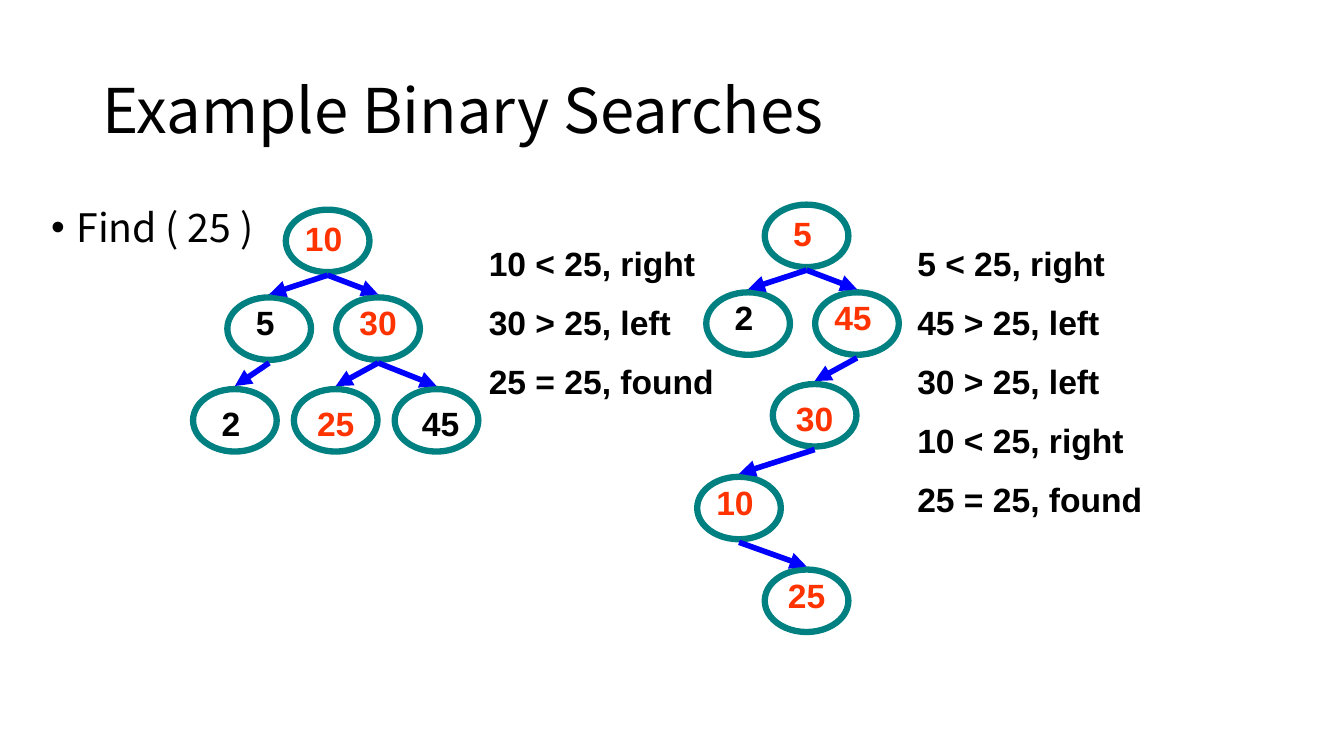
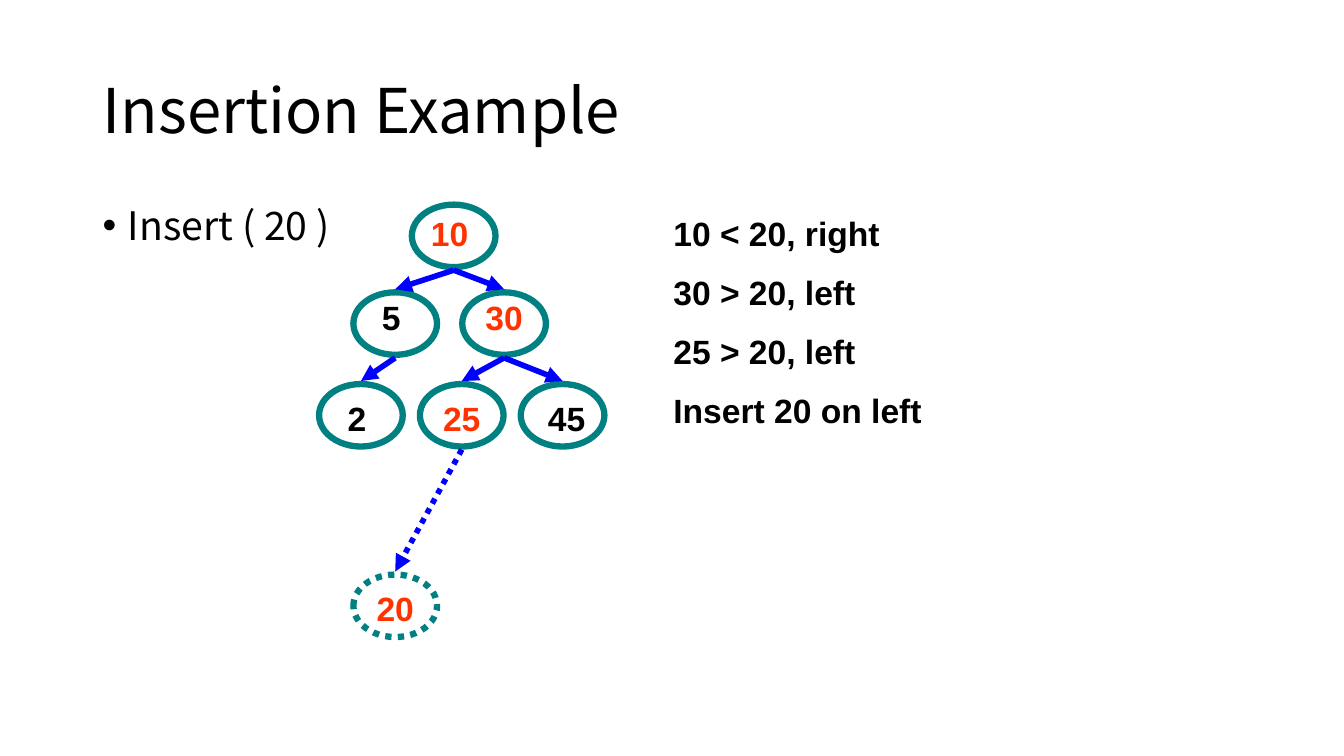
"""Build two slides that show searching and inserting in binary search trees."""
from dataclasses import dataclass
from typing import Optional

import pptx
import pptx.dml.color
import pptx.enum.dml
import pptx.enum.shapes
import pptx.enum.text
import pptx.oxml
import pptx.oxml.ns
import pptx.util
from pptx.util import Inches

RGB = pptx.dml.color.RGBColor
ALIGN = pptx.enum.text.PP_ALIGN
ANCHOR = pptx.enum.text.MSO_ANCHOR


@dataclass(frozen=True)
class Theme:
    black: RGB = RGB(0x00, 0x00, 0x00)
    visited: RGB = RGB(0xFF, 0x33, 0x00)
    ring: RGB = RGB(0x00, 0x80, 0x80)
    arrow: RGB = RGB(0x00, 0x00, 0xFF)
    heading_font: str = "Noto Sans CJK KR"
    label_font: str = "Arial"
    title_size: float = 44
    bullet_size: float = 28
    label_size: float = 24
    step_gap: float = 13.3
    ring_width: float = 4.5
    arrow_width: float = 4


@dataclass(frozen=True)
class Level:
    drop: float
    label_drop: float


@dataclass(frozen=True)
class Node:
    key: str
    x: float
    level: int
    parent: Optional[str] = None
    visited: bool = True
    label_shift: float = 0
    dotted: bool = False


@dataclass(frozen=True)
class Tree:
    x: float
    y: float
    nodes: tuple[Node, ...]


@dataclass(frozen=True)
class Steps:
    x: float
    y: float
    width: float
    lines: tuple[str, ...]


@dataclass(frozen=True)
class Page:
    title: str
    bullet: str
    bullet_x: float
    bullet_y: float
    trees: tuple[Tree, ...]
    steps: tuple[Steps, ...]


THEME = Theme()
NODE_W, NODE_H = 0.83, 0.62
LABEL_W, LABEL_H = 0.67, 0.5
ARROW_GAP = 0.03
LEVELS = (Level(0, 0.03), Level(0.87, 0), Level(1.78, 0.09),
          Level(2.7, 0), Level(3.62, 0), Level(3.67, 0.08))

BALANCED = (
    Node("10", 0, 0, label_shift=-0.04),
    Node("5", -0.58, 1, "10", False, -0.04),
    Node("30", 0.5, 1, "10"),
    Node("2", -0.92, 2, "5", False, -0.04),
    Node("25", 0.08, 2, "30"),
    Node("45", 1.08, 2, "30", False, 0.04),
)
SKEWED = (
    Node("5", 0, 0, label_shift=-0.04),
    Node("2", -0.58, 1, "5", False, -0.04),
    Node("45", 0.5, 1, "5", label_shift=-0.04),
    Node("30", 0.08, 2, "45"),
    Node("10", -0.67, 3, "30", label_shift=-0.04),
    Node("25", 0, 4, "10"),
)
INSERTED = Node("20", -0.58, 5, "25", dotted=True)

PAGES = (
    Page("Example Binary Searches", "Find ( 25 )", 0.41, 2.02,
         (Tree(3.25, 2.08, BALANCED), Tree(8, 2.03, SKEWED)),
         (Steps(4.75, 2.36, 2.5,
                ("10 < 25, right", "30 > 25, left", "25 = 25, found")),
          Steps(9, 2.36, 2.5,
                ("5 < 25, right", "45 > 25, left", "30 > 25, left",
                 "10 < 25, right", "25 = 25, found")))),
    Page("Insertion Example", "Insert ( 20 )", 0.92, 2,
         (Tree(4.5, 2.03, BALANCED + (INSERTED,)),),
         (Steps(6.58, 2.06, 3.75,
                ("10 < 20, right", "30 > 20, left", "25 > 20, left",
                 "Insert 20 on left")),)),
)


def add_element(parent, tag: str, **attributes: str) -> None:
    element = pptx.oxml.parse_xml(f"<{tag} {pptx.oxml.ns.nsdecls('a')}/>")
    for name, value in attributes.items():
        element.set(name, value)
    parent.append(element)


def add_text(s, x: float, y: float, w: float, h: float, lines: tuple[str, ...],
             size: float, font: str, color: RGB = THEME.black,
             bold: bool = False, align: ALIGN = ALIGN.LEFT,
             gap: float = 0, spacing: float = 1):
    sp = s.shapes.add_textbox(Inches(x), Inches(y), Inches(w), Inches(h))
    tf = sp.text_frame
    tf.word_wrap = True
    for i, line in enumerate(lines):
        p = tf.add_paragraph() if i else tf.paragraphs[0]
        p.alignment = align
        p.line_spacing = spacing
        if i:
            p.space_before = pptx.util.Pt(gap)
        r = p.add_run()
        r.text = line
        r.font.size = pptx.util.Pt(size)
        r.font.name = font
        r.font.bold = bold
        r.font.color.rgb = color
    return tf


def style_line(line, color: RGB, width: float, dotted: bool) -> None:
    line.color.rgb = color
    line.width = pptx.util.Pt(width)
    if dotted:
        line.dash_style = pptx.enum.dml.MSO_LINE.ROUND_DOT


def add_heading(s, page: Page) -> None:
    tf = add_text(s, 0.92, 0.4, 11.5, 1.45, (page.title,), THEME.title_size,
                  THEME.heading_font, spacing=0.9)
    tf.vertical_anchor = ANCHOR.MIDDLE
    tf = add_text(s, page.bullet_x, page.bullet_y, 11.5, 4.76, (page.bullet,),
                  THEME.bullet_size, THEME.heading_font, spacing=0.9)
    props = tf.paragraphs[0]._p.get_or_add_pPr()
    indent = Inches(0.25)
    props.set("marL", str(indent))
    props.set("indent", str(-indent))
    add_element(props, "a:buFont", typeface="Arial")
    add_element(props, "a:buChar", char="•")


def add_node(s, tree: Tree, node: Node) -> None:
    level = LEVELS[node.level]
    x, y = tree.x + node.x, tree.y + level.drop
    sp = s.shapes.add_shape(pptx.enum.shapes.MSO_SHAPE.OVAL,
                            Inches(x - NODE_W / 2), Inches(y),
                            Inches(NODE_W), Inches(NODE_H))
    sp.shadow.inherit = False
    sp.fill.background()
    style_line(sp.line, THEME.ring, THEME.ring_width, node.dotted)
    add_text(s, x + node.label_shift - LABEL_W / 2, y + level.label_drop,
             LABEL_W, LABEL_H, (node.key,), THEME.label_size, THEME.label_font,
             THEME.visited if node.visited else THEME.black, True, ALIGN.CENTER)


def add_arrow(s, tree: Tree, parent: Node, child: Node) -> None:
    start = tree.y + LEVELS[parent.level].drop + NODE_H + ARROW_GAP
    end = tree.y + LEVELS[child.level].drop - ARROW_GAP
    sp = s.shapes.add_connector(pptx.enum.shapes.MSO_CONNECTOR.STRAIGHT,
                                Inches(tree.x + parent.x), Inches(start),
                                Inches(tree.x + child.x), Inches(end))
    style_line(sp.line, THEME.arrow, THEME.arrow_width, child.dotted)
    add_element(sp.line._get_or_add_ln(), "a:tailEnd", type="triangle")
    add_element(sp._element.spPr, "a:effectLst")


def add_tree(s, tree: Tree) -> None:
    by_key = {node.key: node for node in tree.nodes}
    for node in tree.nodes:
        add_node(s, tree, node)
        if node.parent:
            add_arrow(s, tree, by_key[node.parent], node)


def add_steps(s, steps: Steps) -> None:
    height = 0.5 + 0.57 * (len(steps.lines) - 1)
    add_text(s, steps.x, steps.y, steps.width, height, steps.lines,
             THEME.label_size, THEME.label_font, bold=True, gap=THEME.step_gap)


def main() -> None:
    prs = pptx.Presentation()
    prs.slide_width, prs.slide_height = Inches(13.33), Inches(7.5)
    for page in PAGES:
        s = prs.slides.add_slide(prs.slide_layouts[6])
        add_heading(s, page)
        for tree in page.trees:
            add_tree(s, tree)
        for steps in page.steps:
            add_steps(s, steps)
    prs.save("out.pptx")


if __name__ == "__main__":
    main()
